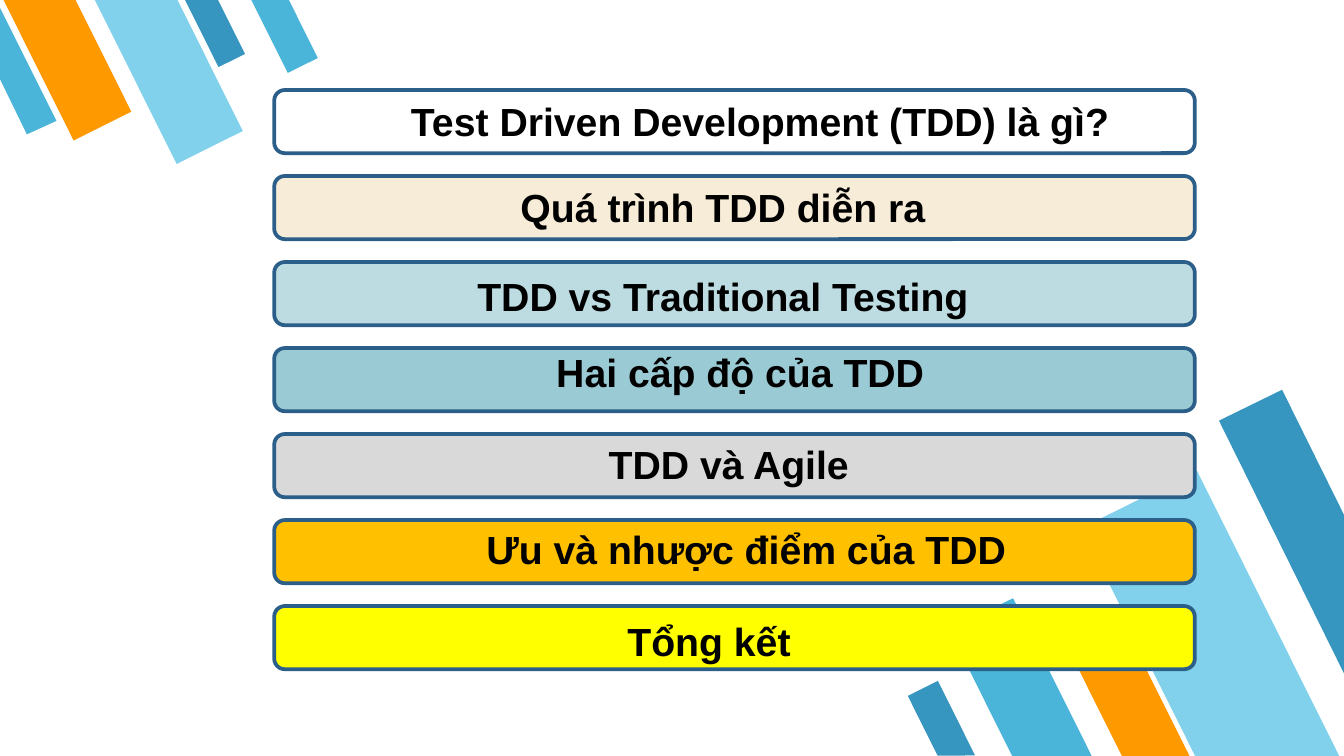
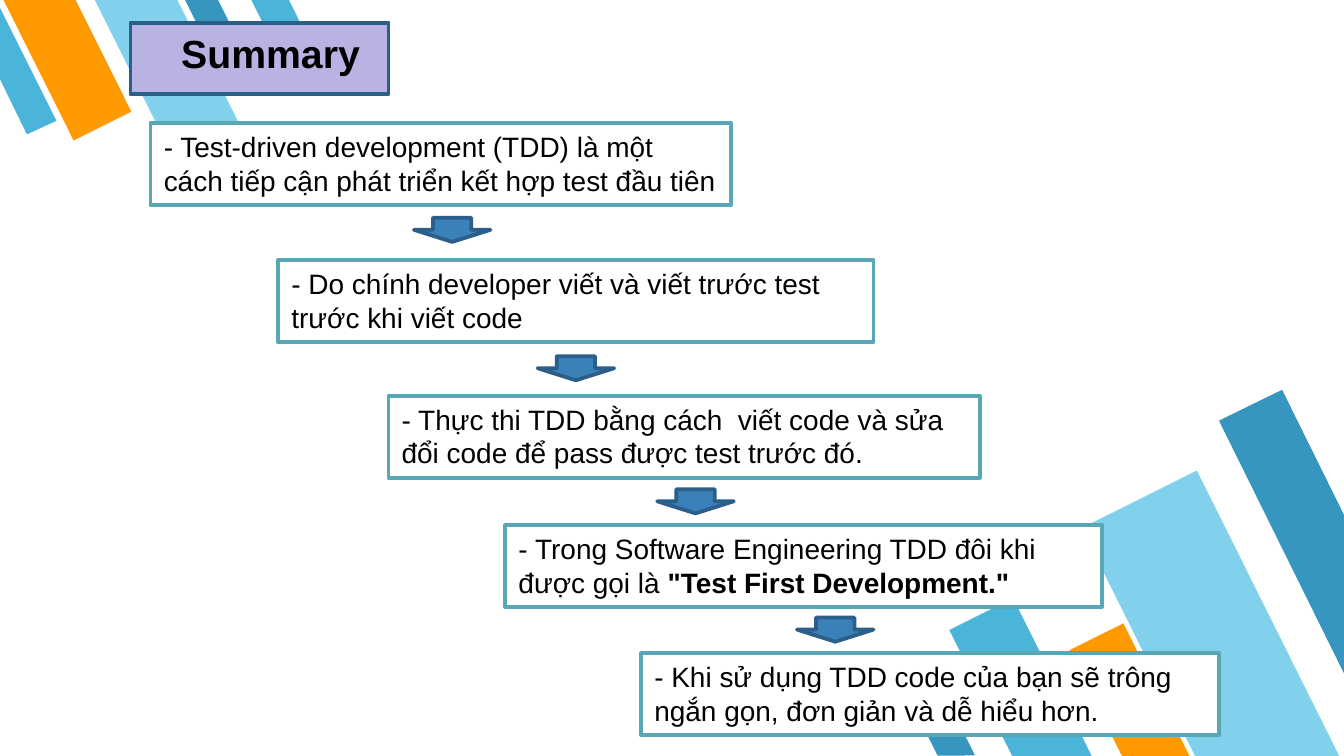
"""Builds the agenda and summary slides of a deck about test driven development."""
from pptx import Presentation
from pptx.dml.color import RGBColor
from pptx.enum.shapes import MSO_SHAPE
from pptx.enum.text import MSO_ANCHOR, PP_ALIGN
from pptx.util import Pt

PX = 4572
FONT = "Arial"
BLACK = RGBColor(0x00, 0x00, 0x00)
WHITE = RGBColor(0xFF, 0xFF, 0xFF)
NAVY = RGBColor(0x2B, 0x5F, 0x8A)
BLUE = RGBColor(0x37, 0x96, 0xBF)
CYAN = RGBColor(0x4B, 0xB5, 0xD9)
SKY = RGBColor(0x81, 0xD1, 0xEC)
ORANGE = RGBColor(0xFF, 0x99, 0x00)
TEAL = RGBColor(0x57, 0xA7, 0xB5)
ARROW_BLUE = RGBColor(0x3A, 0x81, 0xBA)
LAVENDER = RGBColor(0xB9, 0xB3, 0xE4)
CREAM = RGBColor(0xF7, 0xEC, 0xD7)
PALE_TEAL = RGBColor(0xBC, 0xDC, 0xE1)
SOFT_TEAL = RGBColor(0x9A, 0xCA, 0xD3)
GRAY = RGBColor(0xD9, 0xD9, 0xD9)
GOLD = RGBColor(0xFF, 0xC0, 0x00)
YELLOW = RGBColor(0xFF, 0xFF, 0x00)

STRIPES = [
    (1466, 900, 106, 264, 153.5, CYAN),
    (1706, 718, 192, 478, 153.5, SKY),
    (1636, 936, 90, 222, 153.5, ORANGE),
    (1376, 1018, 50, 124, 153.5, BLUE),
    (298, -16, 44, 112, 333.5, BLUE),
    (52, -36, 96, 236, 333.5, ORANGE),
    (196, -40, 110, 274, 333.5, SKY),
    (398, -20, 50, 124, 333.5, CYAN),
]
CUT_STRIPES = [
    ([(1908, 580), (1814, 626), (2000, 1002), (2000, 766)], BLUE),
    ([(40, 200), (84, 180), (0, 12), (0, 118)], CYAN),
]
TOPICS = [
    ("Test Driven Development (TDD) là gì?", WHITE, 592, 135, 1094, 162, PP_ALIGN.LEFT),
    ("Quá trình TDD diễn ra", CREAM, 633, 263, 886, 162, PP_ALIGN.CENTER),
    ("TDD vs Traditional Testing", PALE_TEAL, 500, 395, 1152, 162, PP_ALIGN.CENTER),
    ("Hai cấp độ của TDD", SOFT_TEAL, 808, 509, 736, 90, PP_ALIGN.LEFT),
    ("TDD và Agile", GRAY, 886, 645, 578, 90, PP_ALIGN.LEFT),
    ("Ưu và nhược điểm của TDD", GOLD, 704, 772, 848, 90, PP_ALIGN.LEFT),
    ("Tổng kết", YELLOW, 914, 909, 628, 90, PP_ALIGN.LEFT),
]
STEPS = [
    (224, 183, 864, [("- Test-driven development (TDD) là một cách tiếp cận "
                      "phát triển kết hợp test đầu tiên", False)]),
    (414, 387, 886, [("- Do chính developer viết và viết trước test "
                      "trước khi viết code", False)]),
    (578, 589, 880, [("- Thực thi TDD bằng cách  viết code và sửa đổi code "
                      "để pass được test trước đó.", False)]),
    (752, 781, 888, [("- Trong Software Engineering TDD đôi khi được gọi là ", False),
                     ('"Test First Development."', True)]),
    (954, 972, 860, [("- Khi sử dụng TDD code của bạn sẽ trông ngắn gọn, "
                      "đơn giản và dễ hiểu hơn.", False)]),
]
ARROWS = [(616, 324), (800, 530), (978, 728), (1186, 919)]


def add_block(slide, kind, left, top, width, height, fill, line=None):
    block = slide.shapes.add_shape(kind, left * PX, top * PX, width * PX, height * PX)
    block.shadow.inherit = False
    block.fill.solid()
    block.fill.fore_color.rgb = fill
    if line is None:
        block.line.fill.background()
    else:
        block.line.color.rgb = line
        block.line.width = Pt(2)
    return block


def write(box, runs, size, align=PP_ALIGN.LEFT):
    frame = box.text_frame
    frame.word_wrap = True
    frame.vertical_anchor = MSO_ANCHOR.TOP
    para = frame.paragraphs[0]
    para.alignment = align
    for text, bold in runs:
        span = para.add_run()
        span.text = text
        span.font.name = FONT
        span.font.size = Pt(size)
        span.font.bold = bold
        span.font.color.rgb = BLACK


deck = Presentation()
deck.slide_width = 2000 * PX
deck.slide_height = 1125 * PX
agenda, summary = [deck.slides.add_slide(deck.slide_layouts[6]) for _ in range(2)]

for slide in (agenda, summary):
    slide.background.fill.solid()
    slide.background.fill.fore_color.rgb = WHITE
    for left, top, width, height, angle, color in STRIPES:
        stripe = add_block(slide, MSO_SHAPE.FLOWCHART_MANUAL_INPUT,
                           left, top, width, height, color)
        stripe.rotation = angle
        stripe.element.spPr.xfrm.set("flipH", "1")
    for points, color in CUT_STRIPES:
        outline = slide.shapes.build_freeform(*points[0], scale=PX)
        outline.add_line_segments(points[1:], close=True)
        stripe = outline.convert_to_shape()
        stripe.shadow.inherit = False
        stripe.fill.solid()
        stripe.fill.fore_color.rgb = color
        stripe.line.fill.background()

for row, topic in enumerate(TOPICS):
    add_block(agenda, MSO_SHAPE.ROUNDED_RECTANGLE,
              408, 134 + 128 * row, 1370, 94, topic[1], NAVY)
for text, color, left, top, width, height, align in TOPICS:
    label = agenda.shapes.add_textbox(left * PX, top * PX, width * PX, height * PX)
    write(label, [(text, True)], 21, align)

add_block(summary, MSO_SHAPE.RECTANGLE, 194, 34, 384, 106, LAVENDER, NAVY)
title = summary.shapes.add_textbox(250 * PX, 34 * PX, 330 * PX, 126 * PX)
write(title, [("Summary", True)], 21)

for left, top, width, runs in STEPS:
    step = add_block(summary, MSO_SHAPE.RECTANGLE, left, top, width, 122, WHITE, TEAL)
    write(step, runs, 15)

for left, top in ARROWS:
    add_block(summary, MSO_SHAPE.DOWN_ARROW, left, top, 114, 36, ARROW_BLUE, NAVY)

deck.save("out.pptx")
